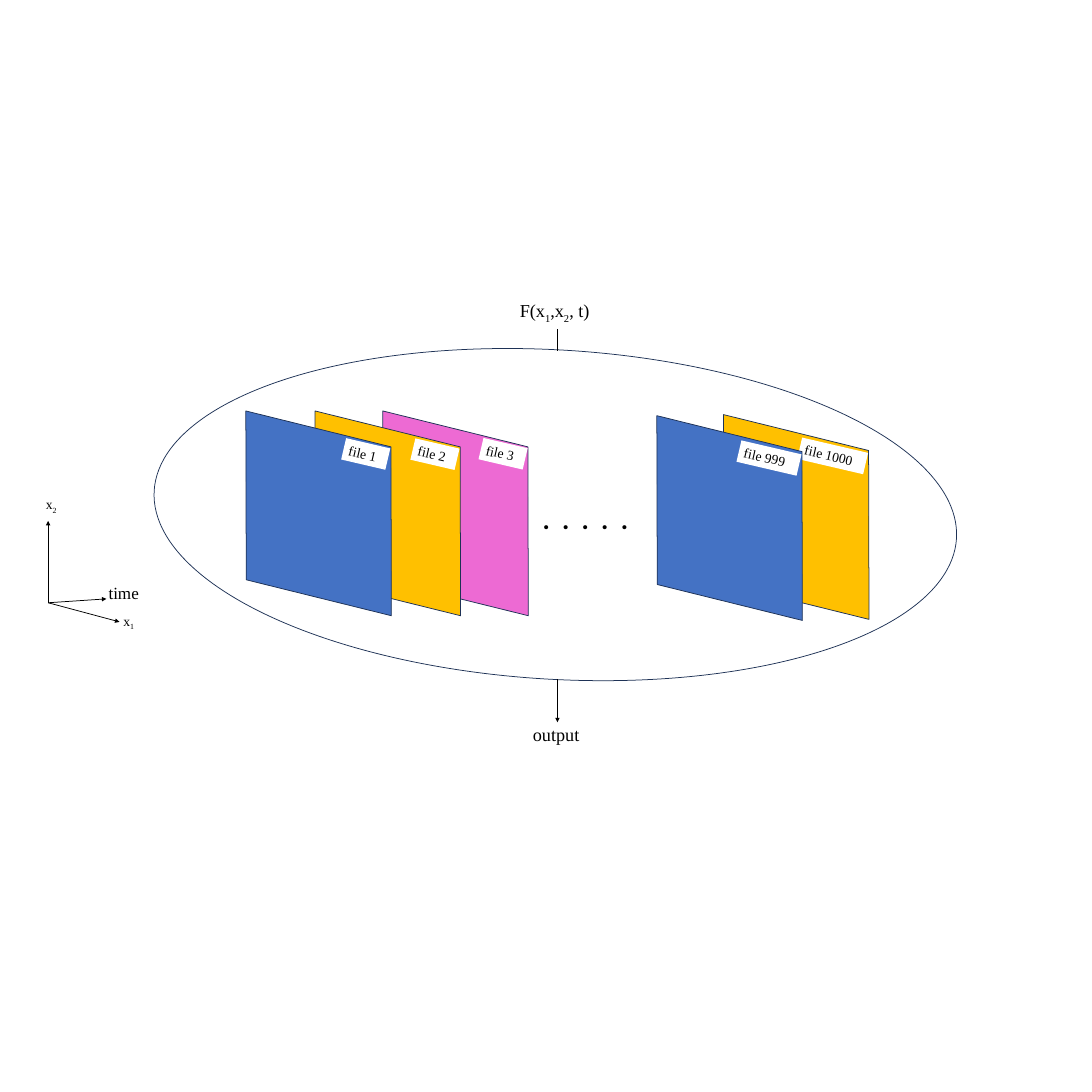
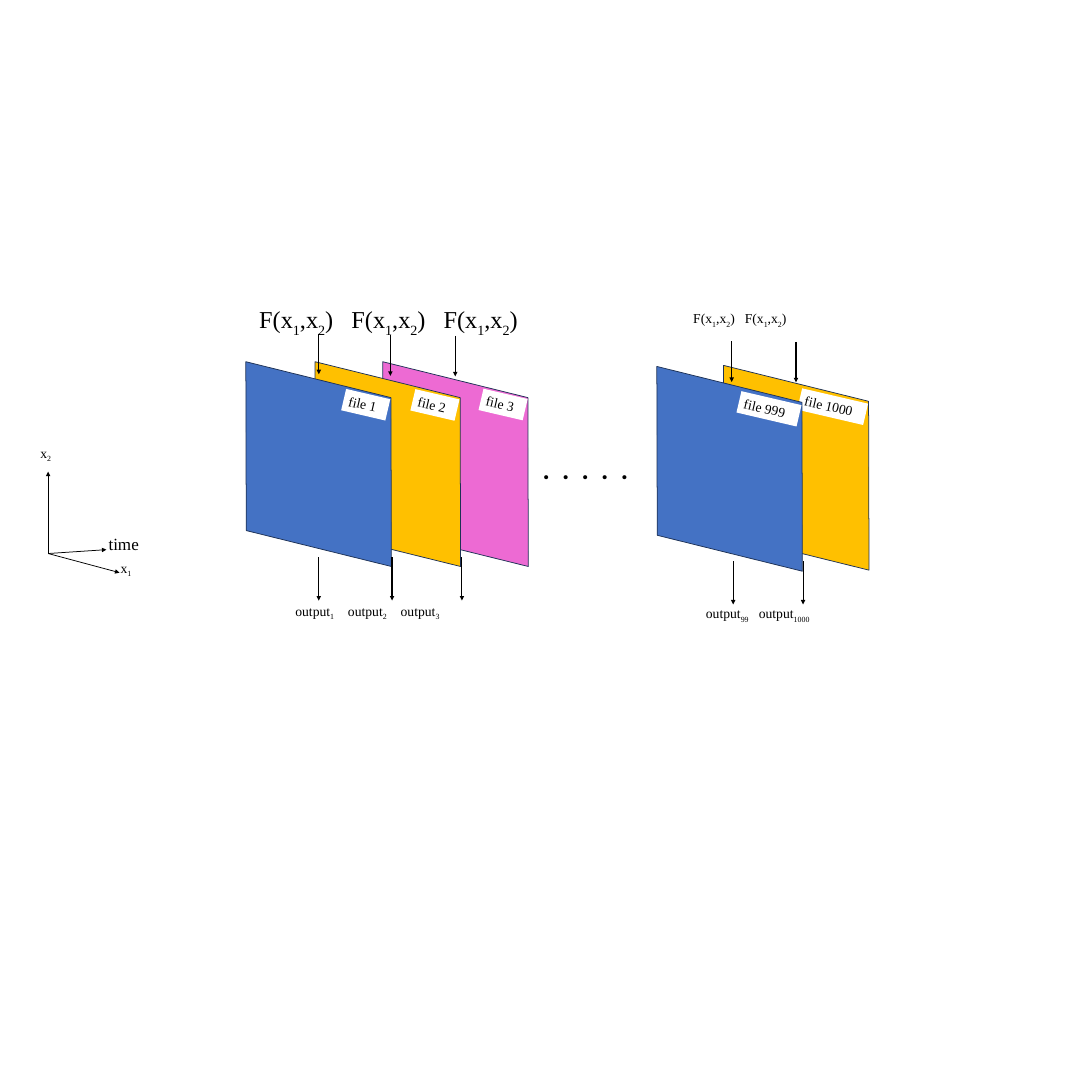
import lxml.etree
import pptx
import pptx.dml.color
import pptx.enum.shapes
import pptx.enum.text
import pptx.oxml.ns
import pptx.util

Cm = pptx.util.Cm
Pt = pptx.util.Pt
SHAPE = pptx.enum.shapes.MSO_SHAPE
qn = pptx.oxml.ns.qn

COLORS = {
    "ink": "000000",
    "outline": "1E3256",
    "tag": "FFFFFF",
    "blue": "4472C4",
    "yellow": "FFC000",
    "pink": "ED6AD3",
}
FONT = {"name": "Times New Roman", "size": 18, "bold": False}
SHEETS = [
    ("file 3", "pink", 16.76, 20.07, 5.59, 0.53, 2.11),
    ("file 2", "yellow", 13.61, 20.07, 5.57, 0.55, 2.11),
    ("file 1000", "yellow", 32.61, 20.24, 4.55, 0.46, 3.15),
    ("file 1", "blue", 10.39, 20.07, 5.57, 0.54, 2.11),
    ("file 999", "blue", 29.51, 20.29, 4.83, 0.51, 2.87),
]
RISE = 2.29


def rgb(name):
    return pptx.dml.color.RGBColor.from_string(COLORS[name])


class Deck:
    def __init__(self, side):
        self.prs = pptx.Presentation()
        self.prs.slide_width = self.prs.slide_height = Cm(side)
        self.s = None

    def slide(self):
        self.s = self.prs.slides.add_slide(self.prs.slide_layouts[6])

    def text(self, words, x, y, w, h=1.27, fill=None, turn=0, tab=0, **style):
        sp = self.s.shapes.add_textbox(Cm(x), Cm(y), Cm(w), Cm(h))
        sp.rotation = turn
        if fill:
            sp.fill.solid()
            sp.fill.fore_color.rgb = rgb(fill)
        tf = sp.text_frame
        tf.word_wrap = True
        tf.auto_size = pptx.enum.text.MSO_AUTO_SIZE.SHAPE_TO_FIT_TEXT
        p = tf.paragraphs[0]
        if tab:
            stops = lxml.etree.SubElement(p._p.get_or_add_pPr(), qn("a:tabLst"))
            for i in range(1, words.count("\t") + 1):
                lxml.etree.SubElement(stops, qn("a:tab"), pos=str(Cm(i * tab)), algn="l")
        form = {**FONT, **style}
        form["size"] = Pt(form["size"])
        for i, part in enumerate(words.split("~")):
            if not part:
                continue
            r = p.add_run()
            r.text = part
            for key, value in form.items():
                setattr(r.font, key, value)
            r.font.color.rgb = rgb("ink")
            if i % 2:
                r._r.get_or_add_rPr().set("baseline", "-25000")

    def shape(self, kind, x, y, w, h, turn, fill=None):
        sp = self.s.shapes.add_shape(kind, Cm(x), Cm(y), Cm(w), Cm(h))
        sp.shadow.inherit = False
        sp.rotation = turn
        if fill:
            sp.fill.solid()
            sp.fill.fore_color.rgb = rgb(fill)
        else:
            sp.fill.background()
        sp.line.color.rgb = rgb("outline")
        sp.line.width = Pt(1)
        return sp

    def line(self, x1, y1, x2, y2, width=1.5, arrow=True):
        c = self.s.shapes.add_connector(
            pptx.enum.shapes.MSO_CONNECTOR.STRAIGHT, Cm(x1), Cm(y1), Cm(x2), Cm(y2))
        c.line.color.rgb = rgb("ink")
        c.line.width = Pt(width)
        spPr = c._element.spPr
        if arrow:
            lxml.etree.SubElement(spPr.find(qn("a:ln")), qn("a:tailEnd"), type="triangle")
        lxml.etree.SubElement(spPr, qn("a:effectLst"))

    def sheets(self, rise=0):
        for name, color, x, y, dx, dy, w in SHEETS:
            sp = self.shape(SHAPE.PARALLELOGRAM, x, y - rise, 8.86, 7.62, 193.9, color)
            sp._element.spPr.find(qn("a:xfrm")).set("flipH", "1")
            self.text(name, x + dx, y + dy - rise, w, 1.02, fill="tag", turn=13.1)
        self.text("\t".join("....."), 24.99, 23.22 - rise, 4.55, 1.8,
                  tab=0.91, name="Calibri", size=36, bold=True)

    def axes(self, x1_at, x2_at, rise=0):
        self.text("time", 4.8, 26.97 - rise, 2.34, 1.22, size=22.5)
        self.text("x~1~", *x1_at, 1.55)
        self.text("x~2~", *x2_at, 1.55)
        for x, y in [(2.24, 24.23), (5.56, 28.93), (4.95, 27.86)]:
            self.line(2.24, 28.04 - rise, x, y - rise, width=1)


def whole_slide(deck):
    deck.slide()
    deck.text("output", 24.54, 33.53, 3.61, size=24)
    deck.text("F(x~1~,x~2~, t)", 23.93, 13.82, 4.62, size=24)
    deck.sheets()
    deck.axes((5.49, 28.37), (1.88, 22.96))
    deck.shape(SHAPE.OVAL, 7.14, 16.28, 37.39, 15.32, 3.4)
    deck.line(25.93, 15.32, 25.93, 16.33, arrow=False)
    deck.line(25.93, 31.6, 25.93, 33.6)


def per_file_slide(deck):
    deck.slide()
    call = "F(x~1~,x~2~)"
    deck.text("\t".join([call] * 3), 11.81, 14.05, 13.59, 1.63, tab=4.29, size=32)
    deck.text("\t".join([call] * 2), 32, 14.3, 7.49, tab=2.4)
    deck.text("output~1~\toutput~2~\toutput~3~", 13.49, 27.91, 10.44, tab=2.45)
    deck.text("output~99~\toutput~1000~", 32.59, 28.02, 7.8, tab=2.46)
    deck.sheets(RISE)
    deck.axes((5.36, 25.91), (1.63, 20.55), RISE)
    inputs = [(14.83, 15.52), (18.16, 15.6), (21.18, 15.62), (34.04, 15.88), (37.03, 15.9)]
    outputs = [(14.83, 25.93), (18.24, 25.93), (21.49, 25.93), (34.11, 26.11), (37.36, 26.11)]
    for starts, length in [(inputs, 1.89), (outputs, 2.01)]:
        for x, y in starts:
            deck.line(x, y, x, y + length)


def main():
    deck = Deck(50.8)
    whole_slide(deck)
    per_file_slide(deck)
    deck.prs.save("out.pptx")


if __name__ == "__main__":
    main()
